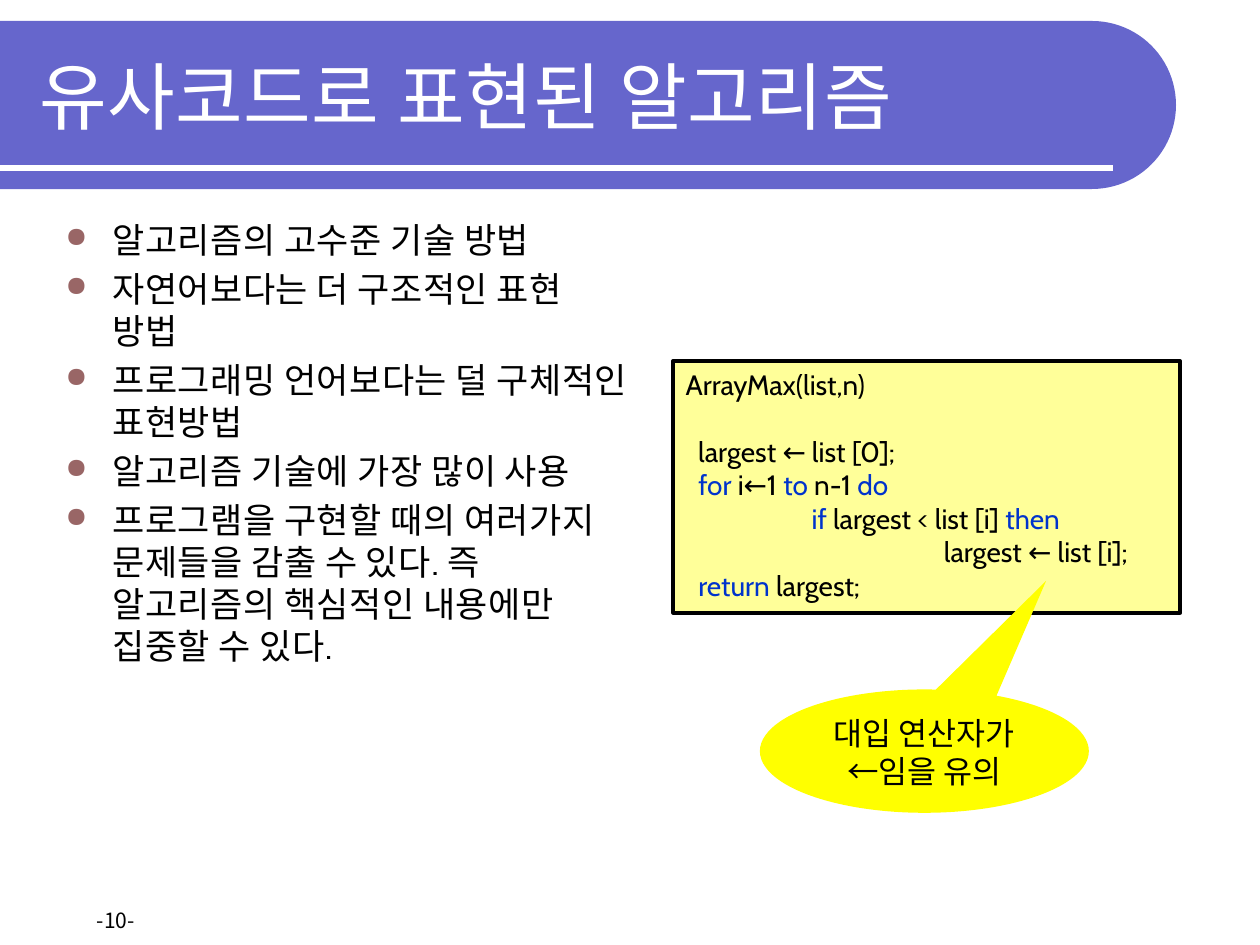
from math import cos, pi, sin

from lxml.etree import SubElement
from pptx import Presentation
from pptx.dml.color import RGBColor
from pptx.enum.shapes import MSO_CONNECTOR, MSO_SHAPE
from pptx.enum.text import MSO_ANCHOR as ANCHOR, PP_ALIGN as ALIGN
from pptx.oxml.ns import qn
from pptx.util import Pt

LATIN, KOREAN = "Cabin", "Noto Sans CJK KR"
BLACK, WHITE, KEYWORD = "000000", "FFFFFF", "0033CC"

POINTS = [
    "알고리즘의 고수준 기술 방법",
    "자연어보다는 더 구조적인 표현 방법",
    "프로그래밍 언어보다는 덜 구체적인 표현방법",
    "알고리즘 기술에 가장 많이 사용",
    "프로그램을 구현할 때의 여러가지 문제들을 감출 수 있다. 즉 알고리즘의 핵심적인 내용에만 집중할 수 있다.",
]
KEYWORDS = {"for", "to", "do", "if ", "then", "return "}
HEADER = ["ArrayMax(list,n)"]
STEPS = [
    ["  largest ← list [0];"],
    ["  ", "for", " i←1 ", "to", " n-1 ", "do"],
    ["\t", "if ", "largest < list [i] ", "then"],
    ["\t\t largest ← list [i];"],
    ["  ", "return ", "largest;"],
]


def rgb(color):
    """Turn a hex string into a colour."""
    return RGBColor.from_string(color)


def add_run(p, text, size=16, font=LATIN, color=BLACK, spacing=0):
    """Add formatted text to a paragraph, with letter spacing in points."""
    r = p.add_run()
    r.text = text
    r.font.size, r.font.name = Pt(size), font
    r.font.color.rgb = rgb(color)
    rPr = r.font._element
    SubElement(rPr, qn("a:ea")).set("typeface", LATIN)
    if spacing:
        rPr.set("spc", str(round(spacing * 100)))


def set_frame(s, anchor=ANCHOR.TOP, wrap=True):
    """Prepare the text frame of a shape and return it."""
    tf = s.text_frame
    tf.word_wrap, tf.vertical_anchor = wrap, anchor
    return tf


def add_box(slide, box, anchor=ANCHOR.TOP, wrap=True):
    """Add a text box and return its frame."""
    return set_frame(slide.shapes.add_textbox(*map(Pt, box)), anchor, wrap)


def next_paragraph(tf, i):
    """Return the first paragraph of a frame, or a new one."""
    return tf.add_paragraph() if i else tf.paragraphs[0]


def paint(s, fill, line=None):
    """Set a flat fill and an optional outline."""
    s.shadow.inherit = False
    s.fill.solid()
    s.fill.fore_color.rgb = rgb(fill)
    if line:
        s.line.color.rgb, s.line.width = rgb(line), Pt(2.25)
    else:
        s.line.fill.background()


def add_bullet(p, char="●", color="996666", percent=80):
    """Give a paragraph a hanging coloured bullet."""
    pPr = p._p.get_or_add_pPr()
    pPr.set("marL", str(Pt(27)))
    pPr.set("indent", str(Pt(-27)))
    SubElement(SubElement(pPr, qn("a:buClr")), qn("a:srgbClr")).set("val", color)
    SubElement(pPr, qn("a:buSzPct")).set("val", str(percent * 1000))
    SubElement(pPr, qn("a:buFont")).set("typeface", "OpenSymbol")
    SubElement(pPr, qn("a:buChar")).set("char", char)


def add_tabs(p, stops):
    """Give a paragraph left tab stops."""
    tabs = SubElement(p._p.get_or_add_pPr(), qn("a:tabLst"))
    for stop in stops:
        tab = SubElement(tabs, qn("a:tab"))
        tab.set("pos", str(Pt(stop)))
        tab.set("algn", "l")


def banner(slide, box, title):
    """Draw the round-ended title band with its rule and title."""
    x, y, w, h = box
    radius = h / 2
    cx, cy = x + w - radius, y + radius
    angles = [pi * (i / 48 - 0.5) for i in range(49)]
    arc = [(Pt(cx + radius * cos(a)), Pt(cy + radius * sin(a))) for a in angles]
    builder = slide.shapes.build_freeform(Pt(x), Pt(y))
    builder.add_line_segments(arc + [(Pt(x), Pt(y + h))], close=True)
    paint(builder.convert_to_shape(), "6666CC")

    rule_y = Pt(y + h - 12)
    s = slide.shapes.add_connector(
        MSO_CONNECTOR.STRAIGHT, Pt(x), rule_y, Pt(x + w - 36), rule_y)
    s.line.color.rgb, s.line.width = rgb(WHITE), Pt(3)
    SubElement(s._element.spPr, qn("a:effectLst"))

    tf = add_box(slide, (x + 15.25, y + 6.25, w - 40.5, 72), ANCHOR.MIDDLE)
    add_run(tf.paragraphs[0], title, size=42, color=WHITE, spacing=0.4)


def bullet_list(slide, box, points):
    """Write the bulleted points."""
    tf = add_box(slide, box)
    for i, text in enumerate(points):
        p = next_paragraph(tf, i)
        if i:
            p.space_before = Pt(4)
        add_bullet(p)
        add_run(p, text, size=20, spacing=0.2)


def code_panel(slide, box, header, steps):
    """Draw the pseudocode panel with coloured keywords."""
    s = slide.shapes.add_shape(MSO_SHAPE.RECTANGLE, *map(Pt, box))
    paint(s, "FFFF99", BLACK)
    tf = set_frame(s)
    for i, parts in enumerate([header] + steps):
        p = next_paragraph(tf, i)
        p.alignment = ALIGN.LEFT
        if i == 1:
            p.space_before = Pt(19.2)
        add_tabs(p, (72, 144))
        for part in parts:
            add_run(p, part, color=KEYWORD if part in KEYWORDS else BLACK)


def callout(slide, box, text):
    """Draw the note that points at the assignment operator."""
    s = slide.shapes.add_shape(MSO_SHAPE.OVAL_CALLOUT, *map(Pt, box))
    s.adjustments[0], s.adjustments[1] = 0.37, -1.38
    paint(s, "FFFF00")
    p = set_frame(s).paragraphs[0]
    p.alignment = ALIGN.CENTER
    add_run(p, text, size=18, font=KOREAN)


def page_number(slide, box, text):
    """Write the page number."""
    tf = add_box(slide, box, wrap=False)
    add_run(tf.paragraphs[0], text, size=12, font=KOREAN)


def main():
    """Build and save the slide."""
    prs = Presentation()
    prs.slide_width, prs.slide_height = Pt(720), Pt(540)
    slide = prs.slides.add_slide(prs.slide_layouts[6])
    banner(slide, (0, 12, 672, 96), "유사코드로 표현된 알고리즘")
    page_number(slide, (48.25, 515, 45.5, 21.5), "-10-")
    bullet_list(slide, (30.25, 121.25, 337, 376.5), POINTS)
    code_panel(slide, (384.75, 206.25, 289.5, 144), HEADER, STEPS)
    callout(slide, (434.25, 394, 188, 70.5), "대입 연산자가 ←임을 유의")
    prs.save("out.pptx")


if __name__ == "__main__":
    main()
